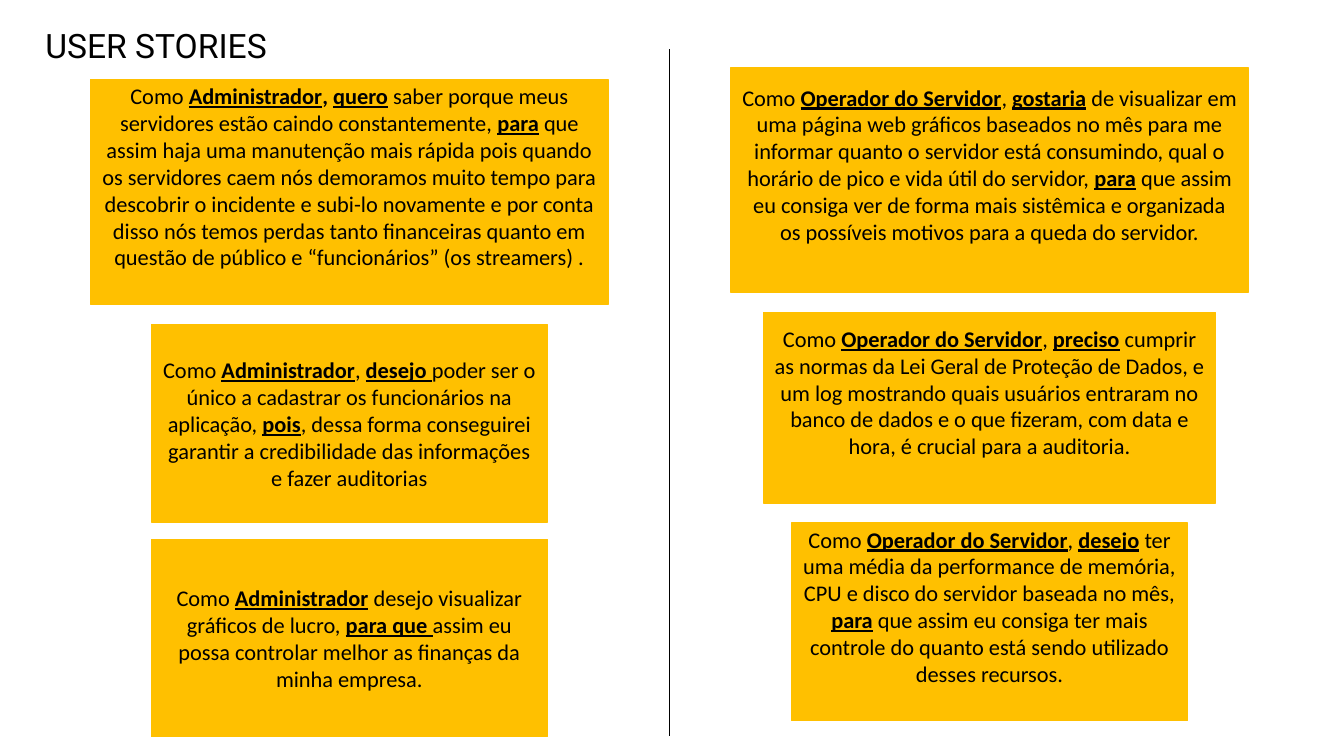
from lxml.etree import SubElement
from pptx import Presentation
from pptx.dml.color import RGBColor
from pptx.enum.shapes import MSO_CONNECTOR, MSO_SHAPE
from pptx.enum.text import MSO_ANCHOR, MSO_AUTO_SIZE, PP_ALIGN
from pptx.oxml.ns import qn
from pptx.util import Inches, Pt

# Content: each story is a list of (text, style) runs
PLAIN, BOLD, KEY = "plain", "bold", "key"
TITLE = "USER STORIES"
ADMIN = [("Como ", PLAIN), ("Administrador", KEY)]
OPERATOR = [("Como ", PLAIN), ("Operador do Servidor", KEY), (", ", PLAIN)]

ADMIN_OUTAGES = ADMIN + [
    (", ", BOLD), ("quero", KEY), (" ", BOLD),
    ("saber porque meus servidores estão caindo constantemente, ", PLAIN),
    ("para", KEY),
    (" que assim haja uma manutenção mais rápida pois quando os servidores "
     "caem nós demoramos muito tempo para descobrir o incidente e subi-lo "
     "novamente e por conta disso nós temos perdas tanto financeiras quanto em "
     "questão de público e “funcionários” (os streamers) .", PLAIN)]
ADMIN_ACCOUNTS = ADMIN + [
    (", ", PLAIN), ("desejo ", KEY),
    ("poder ser o único a cadastrar os funcionários na aplicação, ", PLAIN),
    ("pois", KEY),
    (", dessa forma conseguirei garantir a credibilidade das informações "
     "e fazer auditorias", PLAIN)]
ADMIN_PROFIT = ADMIN + [
    (" desejo visualizar gráficos de lucro, ", PLAIN), ("para que ", KEY),
    ("assim eu possa controlar melhor as finanças da minha empresa.", PLAIN)]
OPERATOR_CHARTS = OPERATOR + [
    ("gostaria", KEY),
    (" de visualizar em uma página web gráficos baseados no mês para me "
     "informar quanto o servidor está consumindo, qual o horário de pico e "
     "vida útil do servidor, ", PLAIN),
    ("para", KEY),
    (" que assim eu consiga ver de forma mais sistêmica e organizada os "
     "possíveis motivos para a queda do servidor.", PLAIN)]
OPERATOR_AUDIT = OPERATOR + [
    ("preciso", KEY),
    (" cumprir as normas da Lei Geral de Proteção de Dados, e um log mostrando "
     "quais usuários entraram no banco de dados e o que fizeram, com data e "
     "hora, é crucial para a auditoria.", PLAIN)]
OPERATOR_AVERAGE = OPERATOR + [
    ("desejo", KEY),
    (" ter uma média da performance de memória, CPU e disco do servidor "
     "baseada no mês, ", PLAIN),
    ("para", KEY),
    (" que assim eu consiga ter mais controle do quanto está sendo utilizado "
     "desses recursos.", PLAIN)]

# Layout in inches: cards are centred in their column and stacked downwards
WIDE, MEDIUM, NARROW = (5.13, 2.23), (4.48, 1.89), (3.93, 1.96)
INSET, RAISED = 0.05, 0.36  # bottom margins; RAISED lifts the text
COLUMNS = [  # centre, top, cards of (size, gap below, bottom margin, runs)
    (3.465, 0.79, [(WIDE, 0.2, RAISED, ADMIN_OUTAGES),
                   (NARROW, 0.17, INSET, ADMIN_ACCOUNTS),
                   (NARROW, 0, INSET, ADMIN_PROFIT)]),
    (9.815, 0.67, [(WIDE, 0.2, RAISED, OPERATOR_CHARTS),
                   (MEDIUM, 0.2, RAISED, OPERATOR_AUDIT),
                   (NARROW, 0, RAISED, OPERATOR_AVERAGE)]),
]
DIVIDER = (6.64, 0.49, 6.64, 7.3)

THEME = {
    "card": RGBColor(0xFF, 0xC0, 0x00),
    "ink": RGBColor(0, 0, 0),
    "title": {"name": "Roboto", "size": Pt(24), "bold": False},
    PLAIN: {"name": "Calibri", "size": Pt(16), "bold": False},
    BOLD: {"name": "Calibri", "size": Pt(16), "bold": True},
    KEY: {"name": "Calibri", "size": Pt(16), "bold": True, "underline": True},
}


def add_run(p, text, style):
    r = p.add_run()
    r.text = text
    for name, value in THEME[style].items():
        setattr(r.font, name, value)
    r.font.color.rgb = THEME["ink"]


def add_card(s, left, top, size, bottom_margin, runs):
    sp = s.shapes.add_shape(MSO_SHAPE.RECTANGLE,
                            *map(Inches, (left, top, *size)))
    sp.shadow.inherit = False
    sp.fill.solid()
    sp.fill.fore_color.rgb = sp.line.color.rgb = THEME["card"]
    sp.line.width = Pt(1)
    tf = sp.text_frame
    tf.word_wrap = True
    tf.vertical_anchor = MSO_ANCHOR.MIDDLE
    tf.margin_bottom = Inches(bottom_margin)
    p = tf.paragraphs[0]
    p.alignment = PP_ALIGN.CENTER
    for text, style in runs:
        add_run(p, text, style)


def main():
    prs = Presentation()
    prs.slide_width, prs.slide_height = Inches(13.33), Inches(7.5)
    s = prs.slides.add_slide(prs.slide_layouts[5])

    # Title
    title = s.shapes.title
    title.left, title.top, title.width, title.height = map(
        Inches, (0.35, 0.2, 2.57, 0.5))
    tf = title.text_frame
    tf.word_wrap = False
    tf.auto_size = MSO_AUTO_SIZE.SHAPE_TO_FIT_TEXT
    tf.vertical_anchor = MSO_ANCHOR.TOP
    tf.paragraphs[0].alignment = PP_ALIGN.LEFT
    add_run(tf.paragraphs[0], TITLE, "title")

    # Story cards
    for centre, top, cards in COLUMNS:
        for size, gap, bottom_margin, runs in cards:
            add_card(s, centre - size[0] / 2, top, size, bottom_margin, runs)
            top += size[1] + gap

    # Divider between the two roles
    line = s.shapes.add_connector(MSO_CONNECTOR.STRAIGHT,
                                  *map(Inches, DIVIDER))
    line.line.color.rgb = THEME["ink"]
    line.line.width = Pt(0.5)
    SubElement(line._element.spPr, qn("a:effectLst"))

    prs.save("out.pptx")


if __name__ == "__main__":
    main()
